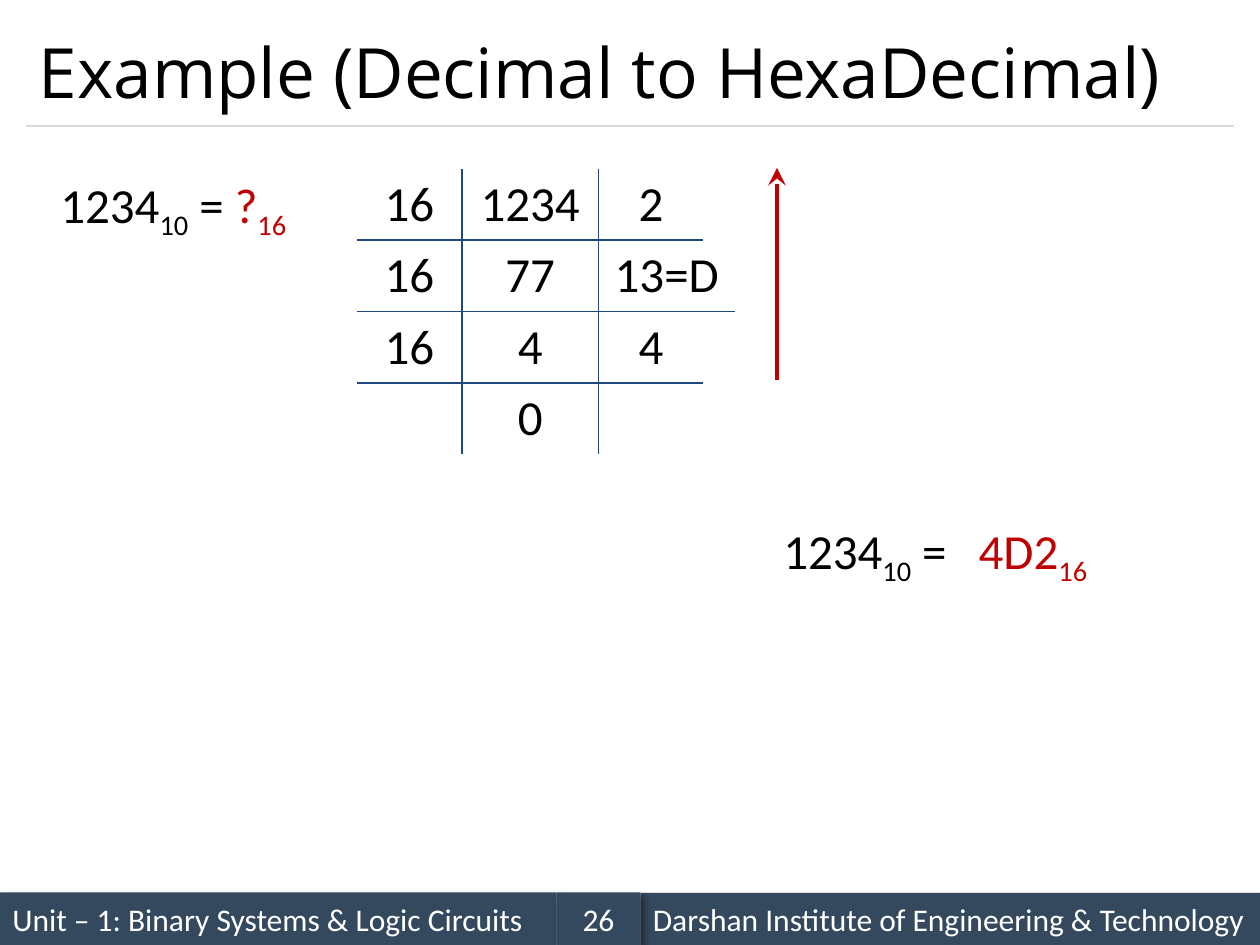
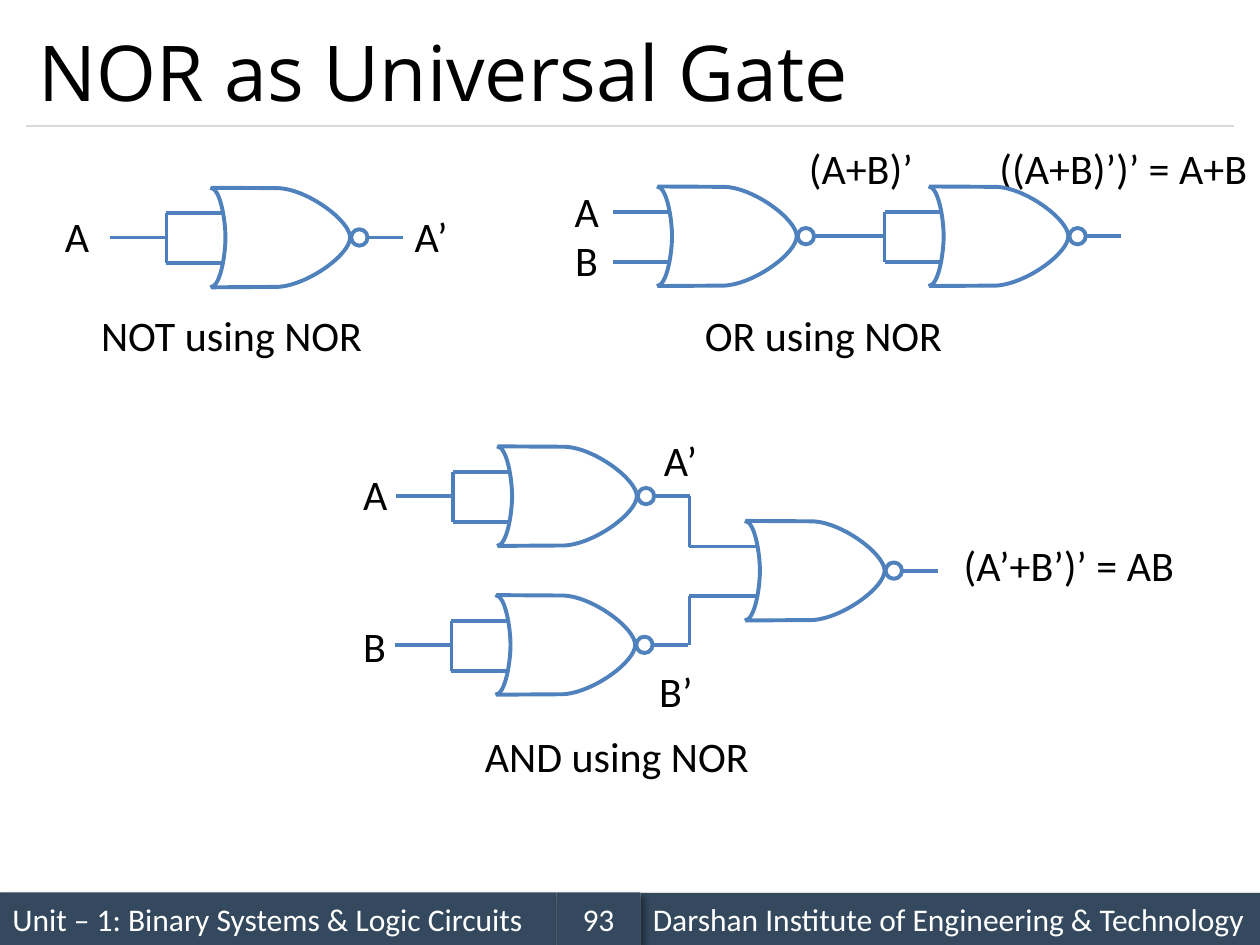
from lxml.etree import SubElement
from pptx import Presentation
from pptx.dml.color import RGBColor
from pptx.enum.shapes import MSO_CONNECTOR as Connector, MSO_SHAPE as Shape
from pptx.enum.text import MSO_ANCHOR as Anchor, MSO_AUTO_SIZE as AutoSize, PP_ALIGN as Align
from pptx.oxml import parse_xml
from pptx.oxml.ns import nsdecls, qn
from pptx.util import Inches, Pt

COLUMNS, ROWS = 120, 90
TITLE_ONLY = 5
BLACK, WHITE, RED = "000000", "FFFFFF", "C00000"
BAND, RULE, BORDER = "34495E", "D9D9D9", "1F497D"
WIRE, JOINT = "4F81BD", "4B7EBC"
BODY_FONT, TITLE_FONT = "Calibri", "Open Sans"
UNIT = "Unit – 1: Binary Systems & Logic Circuits"
INSTITUTE = "Darshan Institute of Engineering & Technology"
SUB = {"baseline": -25}
RED_SUB = {"baseline": -25, "color": RED}

SHADOW = f"""<a:effectLst {nsdecls("a")}>
  <a:outerShdw blurRad="50800" dist="38100" dir="2700000" algn="tl" rotWithShape="0">
    <a:srgbClr val="000000"><a:alpha val="40000"/></a:srgbClr>
  </a:outerShdw>
</a:effectLst>"""

# Gate outlines, measured from the left end of the centre line:
# a start, then segments of one point (straight) or three (cubic curve)
GATE_BODY = [(0, -4.74),
             [(6.36, -4.7)],
             [(9.12, -4.6), (13.2, -1.6), (13.2, 0)],
             [(13.2, 1.6), (9.24, 4.5), (6.36, 4.7)],
             [(0, 4.74)]]
GATE_BACK = [(-0.12, 4.74),
             [(0.84, 4.74), (1.32, 1.6), (1.32, 0)],
             [(1.32, -1.6), (0.84, -4.74), (-0.12, -4.74)]]
UPPER_LEG, LOWER_LEG = -2.3, 2.45
FORK = -4.3


def rgb(color):
    return RGBColor.from_string(color)


def write(frame, runs, font=BODY_FONT, size=24, color=BLACK, align=Align.LEFT,
          anchor=Anchor.TOP, wrap=True, fit=AutoSize.NONE):
    """Fill a frame with a string, or with (text, changes) runs."""
    frame.word_wrap = wrap
    frame.auto_size = fit
    frame.vertical_anchor = anchor
    paragraph = frame.paragraphs[0]
    paragraph.alignment = align
    for text, changes in [(runs, {})] if isinstance(runs, str) else runs:
        run = paragraph.add_run()
        run.text = text
        run.font.name = font
        run.font.size = Pt(size)
        run.font.color.rgb = rgb(changes.get("color", color))
        if "baseline" in changes:
            run._r.get_or_add_rPr().set("baseline", str(changes["baseline"] * 1000))


def bend_segments(shape, segments):
    """Turn each run of three straight pieces into one cubic curve."""
    route = shape._element.find(".//" + qn("a:path"))
    pieces = iter(route.findall(qn("a:lnTo")))
    for segment in segments:
        parts = [next(pieces) for _ in segment]
        if len(parts) == 3:
            curve = route.makeelement(qn("a:cubicBezTo"))
            parts[0].addprevious(curve)
            for part in parts:
                curve.append(part[0])
                route.remove(part)


class Deck:
    def __init__(self):
        self.presentation = Presentation()
        self.presentation.slide_width = Inches(10)
        self.presentation.slide_height = Inches(7.5)
        self.column = self.presentation.slide_width / COLUMNS
        self.row = self.presentation.slide_height / ROWS
        self.slide = None

    def place(self, left, top, width, height):
        return (round(left * self.column), round(top * self.row),
                round(width * self.column), round(height * self.row))

    def start(self, title, number, size):
        """Add a slide with its title, rule and footer bands."""
        layout = self.presentation.slide_layouts[TITLE_ONLY]
        self.slide = self.presentation.slides.add_slide(layout)
        holder = self.slide.shapes.title
        holder.left, holder.top, holder.width, holder.height = self.place(2.5, 1.5, 115, 10.5)
        write(holder.text_frame, title, font=TITLE_FONT, size=size, anchor=Anchor.MIDDLE)
        self.band(UNIT, 0, 53)
        self.line((2.5, 12), (117.5, 12), RULE, 0.75)
        self.band(INSTITUTE, 61, 59, top=85.04)
        self.band(str(number), 53, 8, align=Align.CENTER)

    def band(self, text, left, width, top=85, align=Align.LEFT):
        shape = self.slide.shapes.add_shape(Shape.RECTANGLE, *self.place(left, top, width, 5))
        shape.fill.solid()
        shape.fill.fore_color.rgb = rgb(BAND)
        shape.line.fill.background()
        shape._element.spPr.append(parse_xml(SHADOW))
        write(shape.text_frame, text, size=18, color=WHITE, align=align, anchor=Anchor.MIDDLE)

    def text(self, runs, left, top, width, height=6, **style):
        box = self.slide.shapes.add_textbox(*self.place(left, top, width, height))
        write(box.text_frame, runs, fit=AutoSize.SHAPE_TO_FIT_TEXT, **style)

    def line(self, begin, end, color=WIRE, width=2.25, shapes=None, arrow=False):
        shapes = shapes or self.slide.shapes
        line = shapes.add_connector(Connector.STRAIGHT, *self.place(*begin, *end))
        line.line.color.rgb = rgb(color)
        line.line.width = Pt(width)
        if arrow:
            SubElement(line.line._get_or_add_ln(), qn("a:tailEnd"),
                       type="stealth", w="lg", len="lg")
        SubElement(line._element.spPr, qn("a:effectLst"))

    def cell(self, text, left, top, width, height, edges):
        """Add a one-cell table with borders on the given edges (L, R, T, B)."""
        frame = self.slide.shapes.add_table(1, 1, *self.place(left, top, width, height))
        table = frame.table
        table.first_row = table.horz_banding = False
        cell = table.cell(0, 0)
        properties = cell._tc.get_or_add_tcPr()
        for edge in "LRTB":
            border = SubElement(properties, qn(f"a:ln{edge}"), w=str(Pt(1)))
            if edge in edges:
                fill = SubElement(border, qn("a:solidFill"))
                SubElement(fill, qn("a:srgbClr"), val=BORDER)
            else:
                SubElement(border, qn("a:noFill"))
        cell.fill.background()
        write(cell.text_frame, text, size=28, align=Align.CENTER)

    def outline(self, shape):
        shape.fill.background()
        shape.line.color.rgb = rgb(WIRE)
        shape.line.width = Pt(2.25)
        shape.shadow.inherit = False

    def curve(self, shapes, x, y, start, *segments):
        """Draw an open outline whose points are offsets from x, y."""
        points = [self.place(x + dx, y + dy, 0, 0)[:2]
                  for dx, dy in [start, *sum(segments, [])]]
        builder = shapes.build_freeform(*points[0])
        builder.add_line_segments(points[1:], close=False)
        shape = builder.convert_to_shape()
        bend_segments(shape, segments)
        self.outline(shape)

    def gate(self, x, y, joined=True):
        """Add a NOR gate; joined ties its two inputs to one wire."""
        shapes = self.slide.shapes.add_group_shape().shapes
        upper, lower = y + UPPER_LEG, y + LOWER_LEG
        if joined:
            self.line((x + FORK, upper), (x + FORK, lower), JOINT, 2, shapes)
            self.line((x - 9.7, y), (x + FORK, y), shapes=shapes)
        for leg in (lower, upper):
            self.line((x + FORK, leg), (x + 1.2, leg), shapes=shapes)
        for pieces in (GATE_BODY, GATE_BACK):
            self.curve(shapes, x, y, *pieces)
        self.line((x + 14.8, y), (x + 18.24, y), shapes=shapes)
        self.outline(shapes.add_shape(Shape.OVAL, *self.place(x + 13.3, y - 0.78, 1.56, 1.56)))


def hexadecimal_slide(deck):
    deck.start("Example (Decimal to HexaDecimal)", 26, 39.6)
    equation = {"height": 6.8, "size": 28, "align": Align.CENTER}
    deck.text([("1234", {}), ("10", SUB), (" = ", {}), ("?", {"color": RED}),
               ("16", RED_SUB)], 3, 16, 27, **equation)

    top, height = 16.05, 6.8
    divisions = [("16", "1234", "2"), ("16", "77", "13=D"), ("16", "4", "4")]
    for index, (divisor, dividend, remainder) in enumerate(divisions):
        y = top + index * height
        deck.cell(divisor, 34, y, 10, height, "RB")
        deck.cell(dividend, 44, y, 13, height, "RB")
        deck.cell(remainder, 57, y, 13 if "=" in remainder else 10, height, "B")
    deck.cell("0", 44, top + len(divisions) * height, 13, height, "LR")

    deck.line((74, 36.2), (74, 16), RED, 2, arrow=True)
    deck.text([("1234", {}), ("10", SUB), (" = ", {})], 73, 49, 19.8, **equation)
    deck.text([("4D2", {}), ("16", SUB)], 91, 49, 14.75, color=RED, **equation)


def nor_slide(deck):
    deck.start("NOR as Universal Gate", 93, 44)
    labels = [
        ("NOT using NOR", 8.45, 28.9, 27.5), ("A", 5, 19.45, 4.8), ("A’", 38.3, 19.45, 5.6),
        ("OR using NOR", 65.95, 28.9, 25.2), ("A", 53.55, 17.05, 4.8), ("B", 53.6, 21.7, 4.6),
        ("(A+B)’", 75.85, 13, 12.4), ("((A+B)’)’ = A+B", 94, 13, 26.3),
        ("AND using NOR", 45, 69, 27.7), ("A", 33.4, 44, 4.8), ("B", 33.4, 58.55, 4.6),
        ("A’", 62.05, 40.8, 5.6), ("B’", 61.6, 62.8, 5.6), ("(A’+B’)’ = AB", 90.6, 50.8, 22.7),
    ]
    for label in labels:
        deck.text(*label, wrap=False)

    deck.gate(20.15, 22.62)
    deck.gate(62.68, 22.5, joined=False)
    deck.gate(88.55, 22.5)

    upper, lower, middle, bend = 47.25, 61.42, 54.35, 65.65
    deck.gate(47.45, upper)
    deck.gate(47.3, lower)
    deck.gate(71.05, middle, joined=False)
    for output, leg in ((upper, middle + UPPER_LEG), (lower, middle + LOWER_LEG)):
        deck.line((bend, output), (bend, leg), JOINT, 2)
        deck.line((bend, leg), (69.1, leg))


def main():
    deck = Deck()
    hexadecimal_slide(deck)
    nor_slide(deck)
    deck.presentation.save("out.pptx")


if __name__ == "__main__":
    main()
